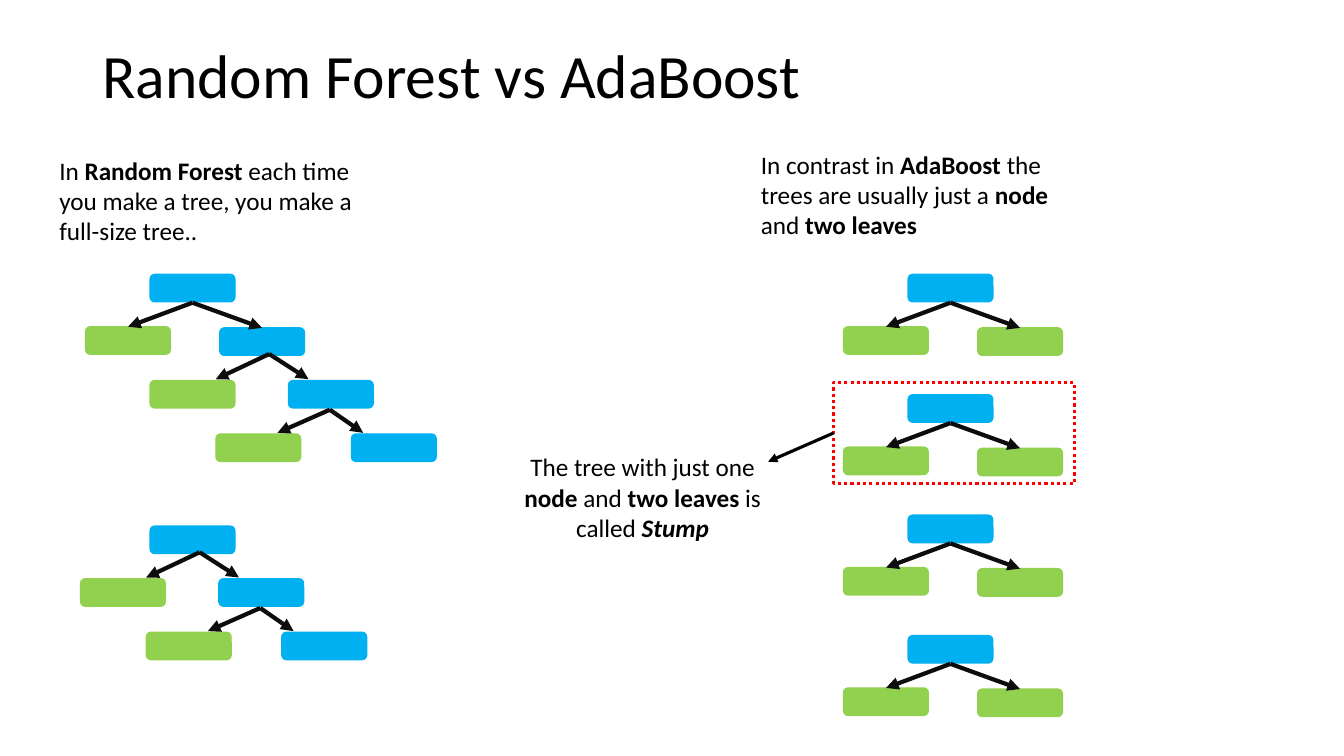
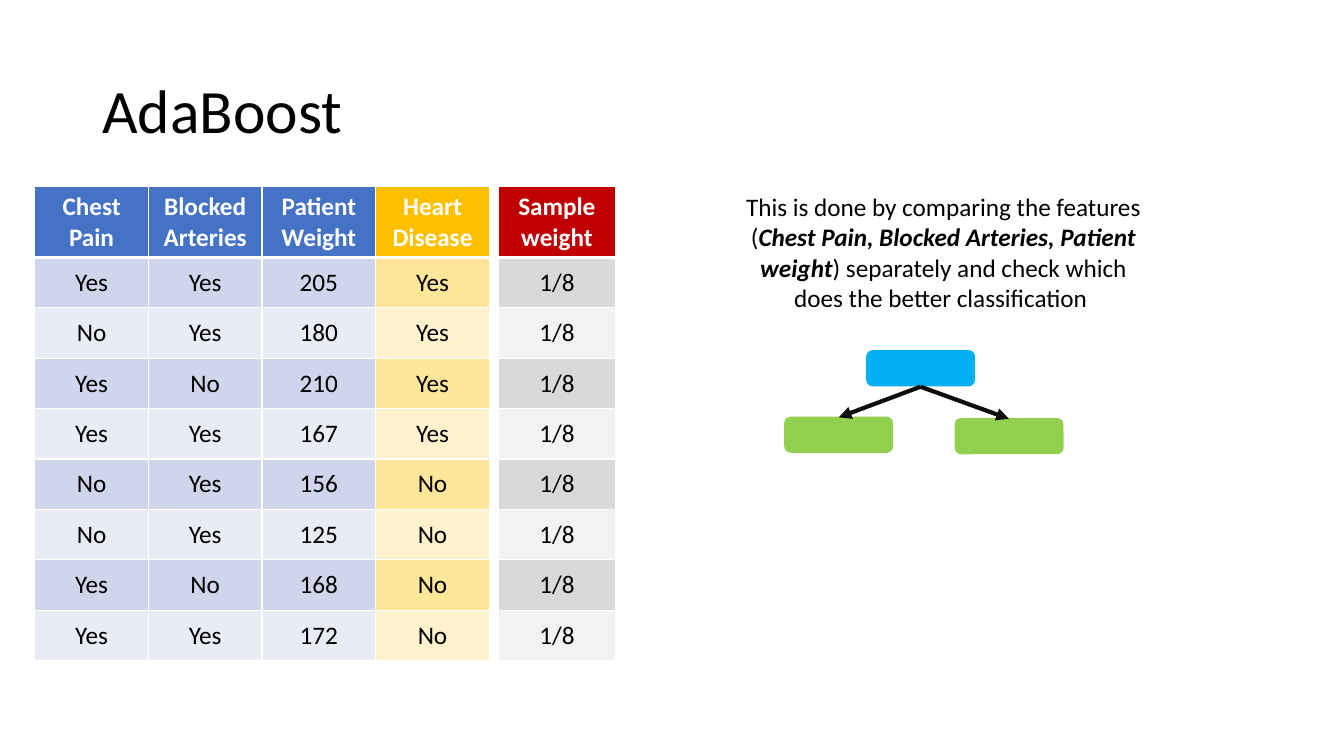
"""Build two slides that compare tree ensembles and weigh samples."""
from dataclasses import dataclass
from typing import Any

from lxml.etree import SubElement
from pptx import Presentation
from pptx.dml.color import RGBColor as Rgb
from pptx.enum.dml import MSO_LINE_DASH_STYLE as Dash
from pptx.enum.shapes import MSO_CONNECTOR as Link, MSO_SHAPE as Form
from pptx.enum.text import MSO_ANCHOR as Anchor, PP_ALIGN as Align
from pptx.oxml.ns import qn
from pptx.util import Pt

FONT = "Calibri"
HUES = {
    "black": "000000", "white": "FFFFFF", "ink": "0D0D0D", "red": "FF0000",
    "node": "00B0F0", "leaf": "92D050",
    "blue": "4472C4", "blue1": "CFD5EA", "blue2": "E9EBF5",
    "gold": "FFC000", "gold1": "FFE699", "gold2": "FFF2CC",
    "wine": "C00000", "wine1": "D9D9D9", "wine2": "F2F2F2",
}
Point = tuple[float, float]
Runs = list[tuple[str, str]]


@dataclass(frozen=True)
class Fork:
    left: Point
    right: Point
    start: Point
    tips: tuple[Point, Point]


@dataclass(frozen=True)
class Tree:
    x: float
    y: float
    forks: tuple[Fork, ...]
    last: str = "leaf"
    scale: float = 1


@dataclass(frozen=True)
class Column:
    head: str
    hue: str
    cells: list[str]


STUMP = Fork((-46.1, 37.4), (49.7, 38.2), (30.2, 20.2), ((-15.8, 37.4), (79.9, 38.2)))
WIDE = Fork((-49.7, 37.6), (49.1, 37.6), (35.3, 18.7), ((-2.9, 36.7), (63.4, 36.7)))
LOW = Fork((-51.8, 38.2), (45, 38.2), (29.5, 20.9), ((-7.9, 37.4), (53.3, 37.4)))

TREES = [
    Tree(107.3, 196, (STUMP, WIDE, LOW), "node"),
    Tree(107.3, 375.8, (WIDE, LOW), "node"),
    *(Tree(648.7, 196 + 86 * step, (STUMP,)) for step in range(4)),
]
TRAITS = [
    Column("Chest Pain", "blue", "Yes No Yes Yes No No Yes Yes".split()),
    Column("Blocked Arteries", "blue", "Yes Yes No Yes Yes Yes No Yes".split()),
    Column("Patient Weight", "blue", "205 180 210 167 156 125 168 172".split()),
    Column("Heart Disease", "gold", ["Yes"] * 4 + ["No"] * 4),
]
WEIGHT = [Column("Sample weight", "wine", ["1/8"] * 8)]


def tint(name: str) -> Rgb:
    return Rgb.from_string(HUES[name])


def write(frame: Any, runs: Runs, *, size: float = 18, hue: str = "black",
          align: Any = Align.LEFT, space: float = 1) -> None:
    frame.word_wrap = True
    para = frame.paragraphs[0]
    para.alignment, para.line_spacing = align, space
    for words, style in runs:
        run = para.add_run()
        run.text = words
        font = run.font
        font.name, font.size, font.color.rgb = FONT, Pt(size), tint(hue)
        font.bold, font.italic = "b" in style, "i" in style


def label(slide: Any, x: float, y: float, w: float, h: float, runs: Runs,
          anchor: Any = Anchor.TOP, **style: Any) -> None:
    frame = slide.shapes.add_textbox(Pt(x), Pt(y), Pt(w), Pt(h)).text_frame
    frame.vertical_anchor = anchor
    write(frame, runs, **style)


def title(slide: Any, words: str, w: float, anchor: Any) -> None:
    label(slide, 66, 28.8, w, 104.4, [(words, "")], anchor, size=44, space=0.9)


def block(slide: Any, x: float, y: float, hue: str, scale: float) -> None:
    box = slide.shapes.add_shape(Form.ROUNDED_RECTANGLE, Pt(x), Pt(y),
                                 Pt(60.5 * scale), Pt(19.6 * scale))
    box.shadow.inherit = False
    box.fill.solid()
    box.fill.fore_color.rgb = box.line.color.rgb = tint(hue)
    box.line.width = Pt(1)


def arrow(slide: Any, start: Point, end: Point, hue: str = "ink", width: float = 3) -> None:
    link = slide.shapes.add_connector(Link.STRAIGHT, *map(Pt, start + end))
    link.line.color.rgb, link.line.width = tint(hue), Pt(width)
    SubElement(link.line._get_or_add_ln(), qn("a:tailEnd"), type="triangle")
    SubElement(link._element.spPr, qn("a:effectLst"))


def grow(slide: Any, tree: Tree) -> None:
    x, y, scale = tree.x, tree.y, tree.scale
    block(slide, x, y, "node", scale)
    for fork in tree.forks:
        def spot(off: Point) -> Point:
            return x + off[0] * scale, y + off[1] * scale

        hue = tree.last if fork is tree.forks[-1] else "node"
        after = spot(fork.right)
        block(slide, *spot(fork.left), "leaf", scale)
        block(slide, *after, hue, scale)
        for tip in fork.tips:
            arrow(slide, spot(fork.start), spot(tip))
        x, y = after


def edge(cell: Any, side: str, width: float) -> None:
    line = SubElement(cell._tc.get_or_add_tcPr(), qn(f"a:ln{side}"), w=str(Pt(width)))
    fill = SubElement(line, qn("a:solidFill"))
    SubElement(fill, qn("a:srgbClr"), val=HUES["white"])


def grid(slide: Any, x: float, y: float, wide: float, cols: list[Column]) -> None:
    rows = len(cols[0].cells) + 1
    table = slide.shapes.add_table(rows, len(cols), Pt(x), Pt(y), Pt(wide * len(cols)),
                                   Pt(50 + 36 * (rows - 1))).table
    for r in range(rows):
        table.rows[r].height = Pt(36 if r else 50)
    for c, col in enumerate(cols):
        table.columns[c].width = Pt(wide)
        for r, words in enumerate([col.head, *col.cells]):
            cell = table.cell(r, c)
            cell.vertical_anchor = Anchor.MIDDLE
            for side in "LRTB":
                edge(cell, side, 3 if (r, side) in ((0, "B"), (1, "T")) else 1)
            cell.fill.solid()
            cell.fill.fore_color.rgb = tint(f"{col.hue}{2 - r % 2}" if r else col.hue)
            write(cell.text_frame, [(words, "" if r else "b")],
                  hue="black" if r else "white", align=Align.CENTER)


def versus(slide: Any) -> None:
    title(slide, "Random Forest vs AdaBoost", 559.4, Anchor.TOP)
    for tree in TREES:
        grow(slide, tree)
    label(slide, 35.3, 107.3, 238.3, 72.7, [
        ("In ", ""), ("Random Forest ", "b"),
        ("each time you make a tree, you make a full-size tree..", "")])
    label(slide, 536.4, 103, 238.3, 72.7, [
        ("In contrast in ", ""), ("AdaBoost", "b"), (" the trees are usually just a ", ""),
        ("node", "b"), (" and ", ""), ("two leaves", "b")])
    label(slide, 367.2, 319, 183.6, 72.7, [
        ("The tree with just one ", ""), ("node", "b"), (" and ", ""), ("two leaves ", "b"),
        ("is called ", ""), ("Stump", "bi")], align=Align.CENTER)
    frame = slide.shapes.add_shape(Form.RECTANGLE, Pt(595.4), Pt(273.3), Pt(172), Pt(72))
    frame.shadow.inherit = False
    frame.fill.background()
    frame.line.color.rgb, frame.line.width = tint("red"), Pt(2.25)
    frame.line.dash_style = Dash.ROUND_DOT
    arrow(slide, (595.4, 309.3), (548.6, 329.8), "black", 2.25)


def weigh(slide: Any) -> None:
    title(slide, "AdaBoost", 491, Anchor.MIDDLE)
    grid(slide, 24.8, 133.4, 81.2, TRAITS)
    grid(slide, 355.7, 133.4, 84.2, WEIGHT)
    label(slide, 525.6, 133.2, 296.6, 94.3, [
        ("This is done by comparing the features (", ""),
        ("Chest Pain, Blocked Arteries, Patient weight", "bi"),
        (") separately and check which does the better classification ", "")],
        align=Align.CENTER)
    grow(slide, Tree(619.2, 250.6, (STUMP,), scale=1.27))


def main() -> None:
    deck = Presentation()
    deck.slide_width, deck.slide_height = Pt(960), Pt(540)
    for draw in (versus, weigh):
        draw(deck.slides.add_slide(deck.slide_layouts[6]))
    deck.save("out.pptx")


if __name__ == "__main__":
    main()
